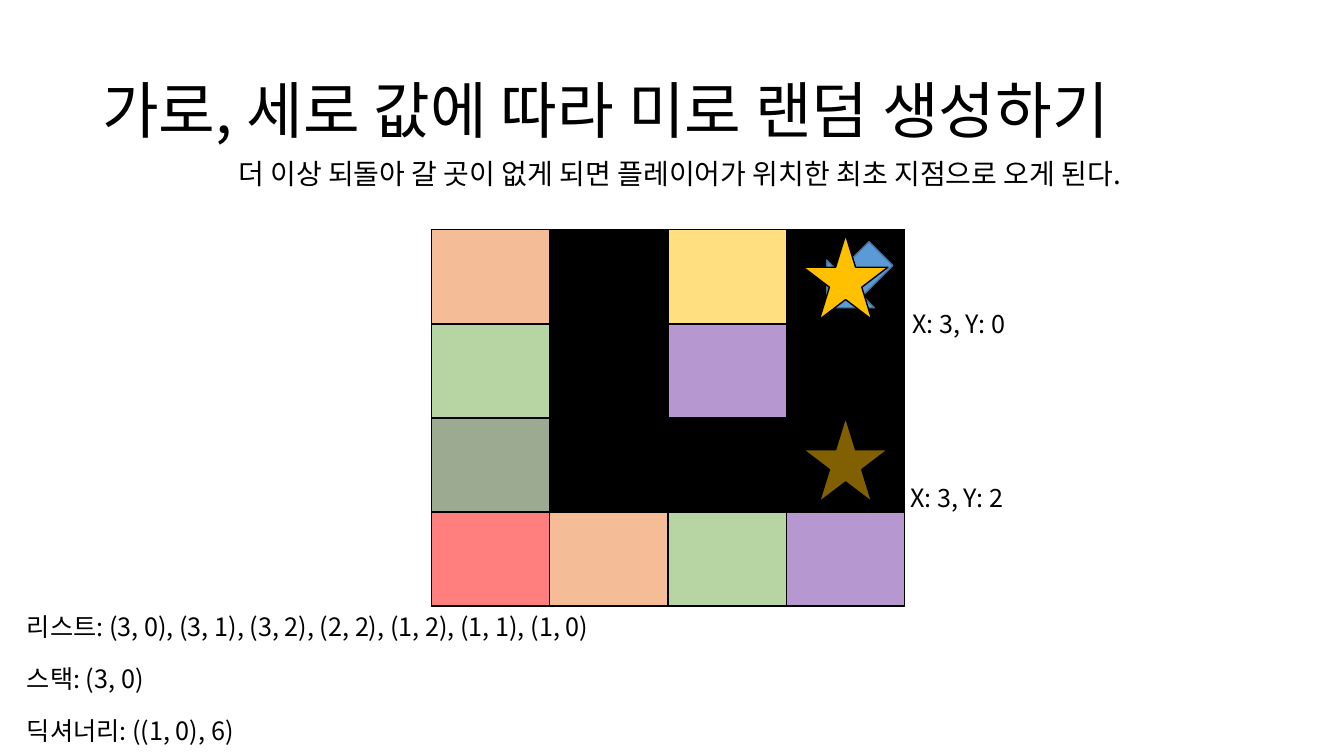
"""Build the slide that explains backtracking in a randomly generated maze."""
from lxml import etree
from pptx import Presentation
from pptx.dml.color import RGBColor
from pptx.enum.shapes import MSO_SHAPE
from pptx.enum.text import MSO_ANCHOR, PP_ALIGN
from pptx.oxml.ns import qn
from pptx.util import Pt

RECTANGLE = MSO_SHAPE.RECTANGLE
STAR = MSO_SHAPE.STAR_5_POINT
ARROW = MSO_SHAPE.RIGHT_ARROW
LEFT, CENTER = PP_ALIGN.LEFT, PP_ALIGN.CENTER
TOP, MIDDLE = MSO_ANCHOR.TOP, MSO_ANCHOR.MIDDLE

FONT = "Noto Sans CJK KR"
COLORS = {
    "black": "000000", "red": "FF0000", "orange": "ED7D31", "gold": "FFC000",
    "green": "70AD47", "forest": "385723", "purple": "7030A0",
    "blue": "5B9BD5", "navy": "43739E",
}

TITLE = "가로, 세로 값에 따라 미로 랜덤 생성하기"
SUBTITLE = "더 이상 되돌아 갈 곳이 없게 되면 플레이어가 위치한 최초 지점으로 오게 된다."
MAZE = [
    ["orange", "black", "gold", "black"],
    ["green", "black", "purple", "black"],
    ["forest", "black", "black", "black"],
    ["red", "orange", "green", "purple"],
]
RECORDS = [
    "리스트: (3, 0), (3, 1), (3, 2), (2, 2), (1, 2), (1, 1), (1, 0)",
    "스택: (3, 0)",
    "딕셔너리: ((1, 0), 6)",
]
PLAYER_STOPS = [
    {"label": "X: 3, Y: 2", "label_at": (643, 340.6), "star_top": 298.1, "faded": True},
    {"label": "X: 3, Y: 0", "label_at": (644.4, 216.7), "star_top": 167.8, "faded": False},
]

MAZE_LEFT, MAZE_TOP = 308.2, 164.1
CELL_WIDTH, CELL_HEIGHT = 84.5, 67.2
STAR_LEFT, STAR_SIZE = 573.8, 60.5
RECORD_LEFT, RECORD_TOP, RECORD_STEP = 12.2, 432.9, 37.1
LABEL_WIDTH, LABEL_HEIGHT = 87, 29


def add_figure(slide, kind, box, fill=None, line="black", faded=False):
    figure = slide.shapes.add_shape(kind, *map(Pt, box))
    figure.shadow.inherit = False
    if fill:
        figure.fill.solid()
        figure.fill.fore_color.rgb = RGBColor.from_string(COLORS[fill])
    else:
        figure.fill.background()
    if faded:
        tint = figure._element.spPr.find(qn("a:solidFill")).find(qn("a:srgbClr"))
        etree.SubElement(tint, qn("a:alpha"), val="50000")
    figure.line.color.rgb = RGBColor.from_string(COLORS[line])
    figure.line.width = Pt(1)
    return figure


def add_text(slide, text, box, size=18, align=LEFT, anchor=TOP, wrap=False, spacing=1.0):
    frame = slide.shapes.add_textbox(*map(Pt, box)).text_frame
    frame.word_wrap = wrap
    frame.vertical_anchor = anchor
    paragraph = frame.paragraphs[0]
    paragraph.text = text
    paragraph.alignment = align
    paragraph.line_spacing = spacing
    paragraph.font.size = Pt(size)
    paragraph.font.color.rgb = RGBColor.from_string(COLORS["black"])
    paragraph.font.name = FONT
    defaults = paragraph._p.pPr.find(qn("a:defRPr"))
    etree.SubElement(defaults, qn("a:ea"), typeface=FONT)
    return paragraph


def maze_box(column, row, span=1):
    return (MAZE_LEFT + column * CELL_WIDTH, MAZE_TOP + row * CELL_HEIGHT,
            span * CELL_WIDTH, span * CELL_HEIGHT)


def main():
    prs = Presentation()
    prs.slide_width, prs.slide_height = Pt(960), Pt(540)
    slide = prs.slides.add_slide(prs.slide_layouts[6])

    add_text(slide, TITLE, (66, 28.8, 828, 104.4), 44, anchor=MIDDLE, wrap=True, spacing=0.9)
    subtitle = add_text(slide, SUBTITLE, (28.1, 110.9, 915, 52.6), 20, CENTER,
                        wrap=True, spacing=0.9)
    subtitle.space_before = Pt(10)

    for row in (0, 2):
        for column in (0, 2):
            add_figure(slide, RECTANGLE, maze_box(column, row, 2))
    for row, cells in enumerate(MAZE):
        for column, color in enumerate(cells):
            add_figure(slide, RECTANGLE, maze_box(column, row), color,
                       faded=color != "black")

    arrow = add_figure(slide, ARROW, (582.5, 176.4, 54.7, 48.2), "blue", "navy")
    arrow.rotation = 135

    for index, record in enumerate(RECORDS):
        add_text(slide, record,
                 (RECORD_LEFT, RECORD_TOP + index * RECORD_STEP, 433, LABEL_HEIGHT))
    for stop in PLAYER_STOPS:
        add_figure(slide, STAR, (STAR_LEFT, stop["star_top"], STAR_SIZE, STAR_SIZE),
                   "gold", faded=stop["faded"])
        add_text(slide, stop["label"], (*stop["label_at"], LABEL_WIDTH, LABEL_HEIGHT))

    prs.save("out.pptx")


if __name__ == "__main__":
    main()
